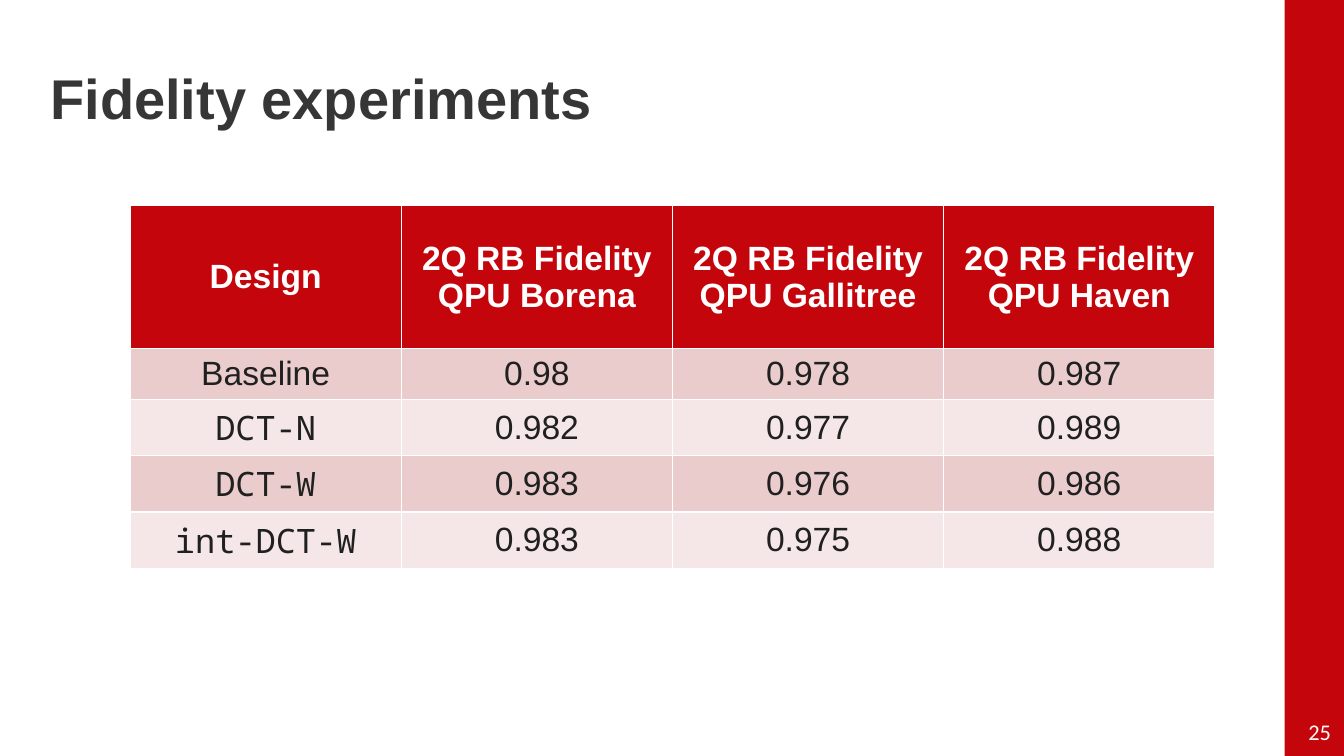
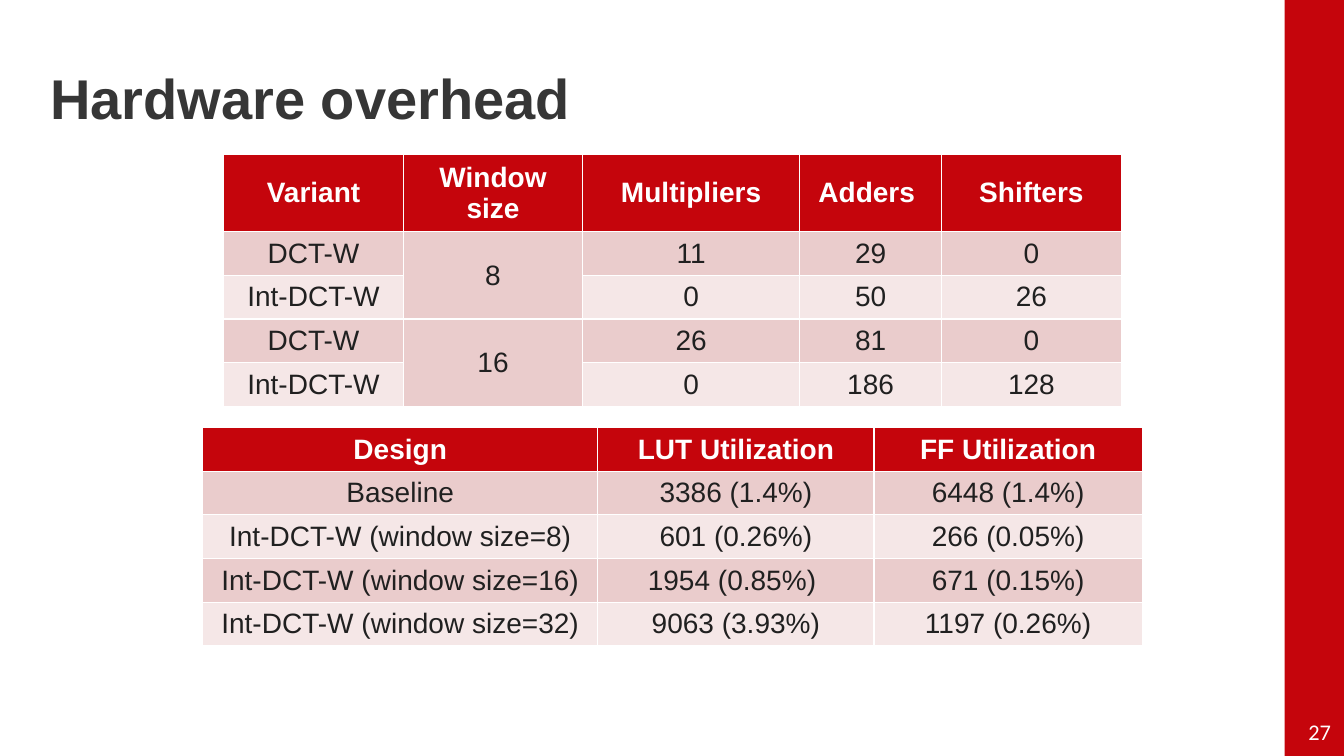
import pptx
import pptx.dml.color
import pptx.enum.shapes
import pptx.enum.text
import pptx.util

Inches = pptx.util.Inches
Pt = pptx.util.Pt
RGBColor = pptx.dml.color.RGBColor
PP_ALIGN = pptx.enum.text.PP_ALIGN
MIDDLE = pptx.enum.text.MSO_ANCHOR.MIDDLE
BOTTOM = pptx.enum.text.MSO_ANCHOR.BOTTOM

RED = RGBColor(0xC5, 0x05, 0x0C)
PINK = RGBColor(0xEA, 0xCC, 0xCC)
PALE_PINK = RGBColor(0xF5, 0xE7, 0xE7)
WHITE = RGBColor(0xFF, 0xFF, 0xFF)
TITLE_GREY = RGBColor(0x36, 0x36, 0x36)
BODY_GREY = RGBColor(0x20, 0x20, 0x20)

SLIDE_WIDTH, SLIDE_HEIGHT = 13.33, 7.5
BAND_LEFT = 12.74
SANS, MONO, NUMBER_FONT = "Arial", "Noto Sans Mono", "Calibri"

TITLE_BOX = (0.5, 0.65, 11.92, 0.66)
NUMBER_BOX = (BAND_LEFT, 7.06, 0.56, 0.4)

FIDELITY_ROWS = [
    ["Design", "2Q RB Fidelity\nQPU Borena", "2Q RB Fidelity\nQPU Gallitree",
     "2Q RB Fidelity\nQPU Haven"],
    ["Baseline", "0.98", "0.978", "0.987"],
    ["DCT-N", "0.982", "0.977", "0.989"],
    ["DCT-W", "0.983", "0.976", "0.986"],
    ["int-DCT-W", "0.983", "0.975", "0.988"],
]
OPERATOR_ROWS = [
    ["Variant", "Window size", "Multipliers", "Adders ", "Shifters"],
    ["DCT-W", "8", "11", "29", "0"],
    ["Int-DCT-W", None, "0", "50", "26"],
    ["DCT-W", "16", "26", "81", "0"],
    ["Int-DCT-W", None, "0", "186", "128"],
]
UTILIZATION_ROWS = [
    ["Design", "LUT Utilization", "FF Utilization"],
    ["Baseline", "3386 (1.4%)", "6448 (1.4%)"],
    ["Int-DCT-W (window size=8)", "601 (0.26%)", "266 (0.05%)"],
    ["Int-DCT-W (window size=16)", "1954 (0.85%) ", "671 (0.15%)"],
    ["Int-DCT-W (window size=32)", "9063 (3.93%)", "1197 (0.26%)"],
]


def set_font(paragraph, name, size, color, bold=False):
    paragraph.font.name = name
    paragraph.font.size = Pt(size)
    paragraph.font.color.rgb = color
    paragraph.font.bold = bold


def add_text(slide, box, text, anchor):
    frame = slide.shapes.add_textbox(*map(Inches, box)).text_frame
    frame.word_wrap = True
    frame.vertical_anchor = anchor
    frame.text = text
    return frame


def add_title(slide, box, text):
    title = add_text(slide, box, text, BOTTOM)
    title.margin_left = title.margin_bottom = 0
    title.paragraphs[0].line_spacing = 0.9
    set_font(title.paragraphs[0], SANS, 40, TITLE_GREY, bold=True)


def add_number(slide, box, number):
    page = add_text(slide, box, str(number), MIDDLE).paragraphs[0]
    page.alignment = PP_ALIGN.RIGHT
    set_font(page, NUMBER_FONT, 16, WHITE)


def add_page(deck, title, number):
    slide = deck.slides.add_slide(deck.slide_layouts[6])
    band = slide.shapes.add_shape(
        pptx.enum.shapes.MSO_SHAPE.RECTANGLE, Inches(BAND_LEFT), 0,
        Inches(SLIDE_WIDTH - BAND_LEFT), Inches(SLIDE_HEIGHT))
    band.shadow.inherit = False
    band.fill.solid()
    band.fill.fore_color.rgb = RED
    band.line.fill.background()
    add_title(slide, TITLE_BOX, title)
    add_number(slide, NUMBER_BOX, number)
    return slide


def style_cell(cell, row, size, font):
    cell.fill.solid()
    cell.fill.fore_color.rgb = RED if row == 0 else PINK if row % 2 else PALE_PINK
    cell.vertical_anchor = MIDDLE
    for paragraph in cell.text_frame.paragraphs:
        paragraph.alignment = PP_ALIGN.CENTER
        set_font(paragraph, font, size, BODY_GREY if row else WHITE, bold=row == 0)


def add_data_table(slide, left, top, column_widths, row_heights, rows, size,
                   mono_cells=()):
    table = slide.shapes.add_table(
        len(rows), len(column_widths), Inches(left), Inches(top),
        Inches(sum(column_widths)), Inches(sum(row_heights))).table
    for column, width in zip(table.columns, column_widths):
        column.width = Inches(width)
    for table_row, height in zip(table.rows, row_heights):
        table_row.height = Inches(height)
    for r, values in enumerate(rows):
        for c, value in enumerate(values):
            cell = table.cell(r, c)
            if value is None:
                table.cell(r - 1, c).merge(cell)
            else:
                cell.text = value
            style_cell(cell, r, size, MONO if (r, c) in mono_cells else SANS)


def add_fidelity_slide(deck):
    slide = add_page(deck, "Fidelity experiments", 25)
    add_data_table(slide, 1.29, 2.04, [2.69] * 4, [1.42, 0.43] + [0.56] * 3,
                   FIDELITY_ROWS, 24, mono_cells=[(r, 0) for r in (2, 3, 4)])


def add_overhead_slide(deck):
    slide = add_page(deck, "Hardware overhead", 27)
    heights = [0.41] * 5
    add_data_table(slide, 2.22, 1.53, [1.78, 1.78, 2.15, 1.41, 1.78], heights,
                   OPERATOR_ROWS, 20)
    add_data_table(slide, 2.01, 4.24, [3.92, 2.74, 2.66], heights,
                   UTILIZATION_ROWS, 20)


def main():
    deck = pptx.Presentation()
    deck.slide_width = Inches(SLIDE_WIDTH)
    deck.slide_height = Inches(SLIDE_HEIGHT)
    add_fidelity_slide(deck)
    add_overhead_slide(deck)
    deck.save("out.pptx")


if __name__ == "__main__":
    main()
